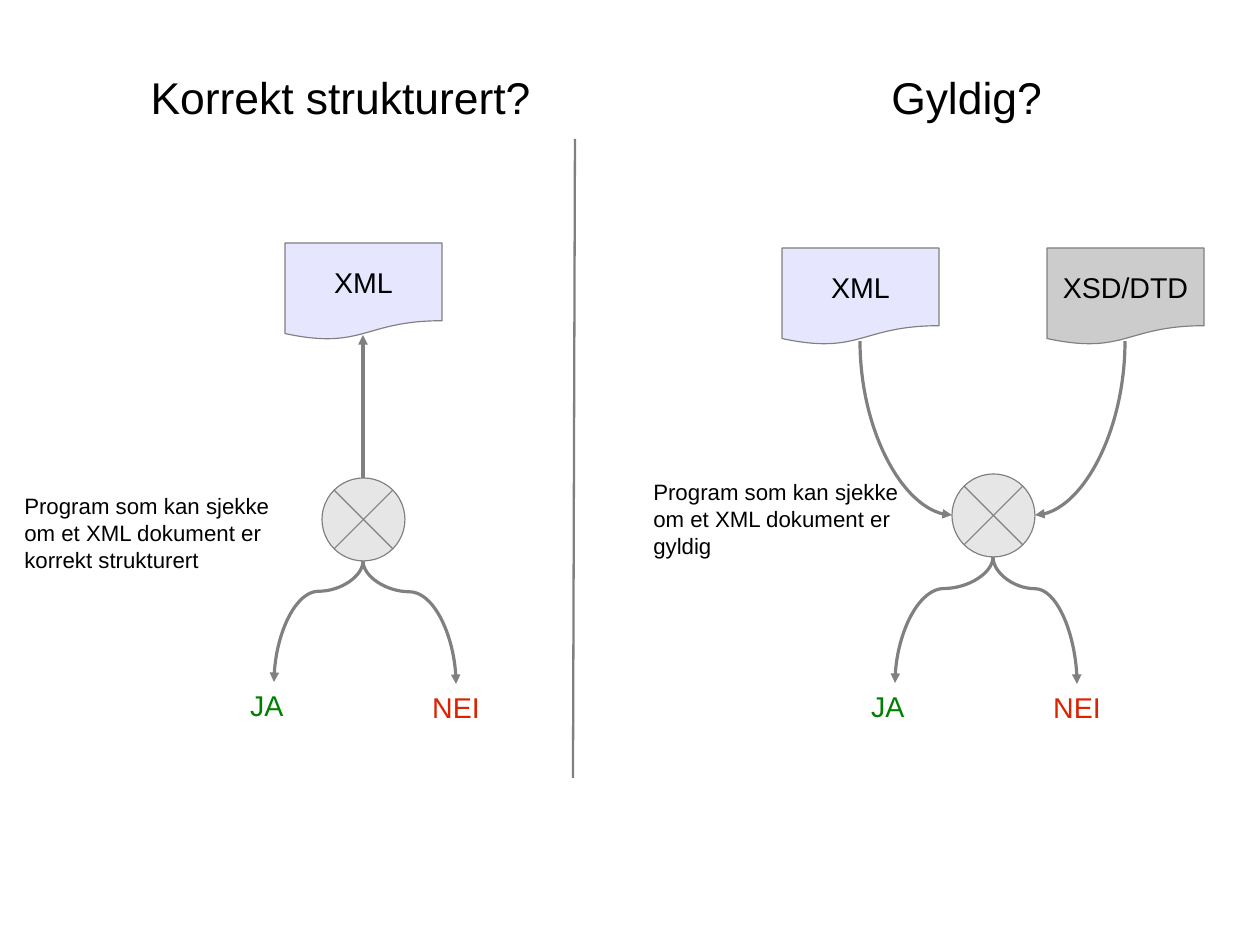
"""Build the slide comparing well-formed and valid XML documents."""
from lxml.etree import SubElement
from pptx import Presentation
from pptx.dml.color import RGBColor
from pptx.enum.shapes import MSO_CONNECTOR, MSO_SHAPE
from pptx.enum.text import MSO_ANCHOR, MSO_AUTO_SIZE, PP_ALIGN
from pptx.oxml.ns import qn
from pptx.util import Pt

PX = 8000
SLIDE_SIZE = (1260, 945)
COLORS = {
    "text": "000000", "line": "808080", "xml": "E6E6FF", "schema": "CCCCCC",
    "program": "E6E6E6", "yes": "008000", "no": "DC2300",
}
TITLE_SIZE = (437, 61)
DOCUMENT_SIZE = (157, 97)
PROGRAM_SIZE = (83, 83)
NOTE_SIZE = (302, 86)
ANSWER_SIZE = (80, 43)
DIVIDER = ((575, 139), (573, 778))
ANSWER_BEND = 25000

PANELS = [
    {
        "title": ("Korrekt strukturert?", (122, 64)),
        "documents": [("XML", "xml", (285, 243))],
        "program": (322, 478),
        "note": ("Program som kan sjekke om et XML dokument er korrekt strukturert", (13, 487)),
        "answers": [("JA", "yes", (239, 682), 274), ("NEI", "no", (421, 684), 456)],
        "straight_arrows": [((363, 478), (363, 335))],
        "curved_arrows": [],
    },
    {
        "title": ("Gyldig?", (748, 64)),
        "documents": [("XML", "xml", (782, 248)), ("XSD/DTD", "schema", (1047, 248))],
        "program": (952, 474),
        "note": ("Program som kan sjekke om et XML dokument er gyldig", (642, 473)),
        "answers": [("JA", "yes", (860, 683), 895), ("NEI", "no", (1042, 684), 1077)],
        "straight_arrows": [],
        "curved_arrows": [((860, 341), (952, 515)), ((1125, 341), (1035, 515))],
    },
]


def color(name):
    return RGBColor.from_string(COLORS[name])


def apply(target, values):
    for name, value in values.items():
        setattr(target, name, value)


def place(shape, position, size):
    names = ("left", "top", "width", "height")
    apply(shape, {name: value * PX for name, value in zip(names, position + size)})


def write(shape, text, points, font_color="text", align=PP_ALIGN.LEFT,
          anchor=MSO_ANCHOR.TOP, wrap=True):
    frame = shape.text_frame
    apply(frame, {
        "text": text, "word_wrap": wrap, "auto_size": MSO_AUTO_SIZE.NONE,
        "vertical_anchor": anchor, "margin_left": Pt(7.2), "margin_right": Pt(7.2),
        "margin_top": Pt(3.6), "margin_bottom": Pt(3.6),
    })
    paragraph = frame.paragraphs[0]
    paragraph.alignment = align
    apply(paragraph.font, {"name": "Arial", "size": Pt(points)})
    paragraph.font.color.rgb = color(font_color)


def add_text(slide, text, position, size, points, **options):
    box = slide.shapes.add_textbox(*(value * PX for value in position + size))
    write(box, text, points, **options)


def add_figure(slide, kind, position, size, fill):
    shape = slide.shapes.add_shape(kind, *(value * PX for value in position + size))
    shape.shadow.inherit = False
    shape.fill.solid()
    shape.fill.fore_color.rgb = color(fill)
    shape.line.color.rgb = color("line")
    shape.line.width = Pt(0)
    return shape


def add_line(slide, start, end, kind=MSO_CONNECTOR.STRAIGHT, width=0, arrow=True):
    line = slide.shapes.add_connector(kind, *(round(value * PX) for value in start + end))
    line.line.color.rgb = color("line")
    line.line.width = Pt(width)
    properties = line._element.spPr
    if arrow:
        SubElement(properties.find(qn("a:ln")), qn("a:tailEnd"), type="triangle")
    SubElement(properties, qn("a:effectLst"))
    return line


def add_curve(slide, start, end, bend=None):
    """Draw a curve that leaves its start downwards, as a turned connector."""
    (x1, y1), (x2, y2) = start, end
    middle_x, middle_y = (x1 + x2) / 2, (y1 + y2) / 2
    half_width, half_height = (y2 - y1) / 2, abs(x2 - x1) / 2
    side = 1 if x2 > x1 else -1
    line = add_line(
        slide,
        (middle_x + side * half_width, middle_y - half_height),
        (middle_x - side * half_width, middle_y + half_height),
        MSO_CONNECTOR.CURVE,
    )
    properties = line._element.spPr
    turn = 270 if side > 0 else 90
    properties.find(qn("a:xfrm")).set("rot", str(turn * 60000))
    geometry = properties.find(qn("a:prstGeom"))
    if bend is None:
        geometry.set("prst", "curvedConnector2")
    else:
        SubElement(geometry.find(qn("a:avLst")), qn("a:gd"), name="adj1", fmla=f"val {bend}")


def add_panel(slide, panel):
    for text, fill, position in panel["documents"]:
        document = add_figure(slide, MSO_SHAPE.FLOWCHART_DOCUMENT, position, DOCUMENT_SIZE, fill)
        write(document, text, 18, align=PP_ALIGN.CENTER, anchor=MSO_ANCHOR.MIDDLE, wrap=False)

    left, top = panel["program"]
    add_figure(slide, MSO_SHAPE.FLOWCHART_SUMMING_JUNCTION, (left, top), PROGRAM_SIZE, "program")
    note, position = panel["note"]
    add_text(slide, note, position, NOTE_SIZE, 14)

    for start, end in panel["straight_arrows"]:
        add_line(slide, start, end)
    for start, end in panel["curved_arrows"]:
        add_curve(slide, start, end)

    exit_point = (left + PROGRAM_SIZE[0] // 2, top + PROGRAM_SIZE[1])
    for text, font_color, position, tip_x in panel["answers"]:
        add_text(slide, text, position, ANSWER_SIZE, 18, font_color=font_color)
        add_curve(slide, exit_point, (tip_x, position[1]), ANSWER_BEND)


def main():
    presentation = Presentation()
    presentation.slide_width, presentation.slide_height = (value * PX for value in SLIDE_SIZE)
    slide = presentation.slides.add_slide(presentation.slide_layouts[5])

    main_panel, second_panel = PANELS
    text, position = main_panel["title"]
    place(slide.shapes.title, position, TITLE_SIZE)
    write(slide.shapes.title, text, 28, align=PP_ALIGN.CENTER)
    text, position = second_panel["title"]
    add_text(slide, text, position, TITLE_SIZE, 28, align=PP_ALIGN.CENTER)

    for panel in PANELS:
        add_panel(slide, panel)
    add_line(slide, *DIVIDER, width=1.45, arrow=False)
    presentation.save("out.pptx")


if __name__ == "__main__":
    main()
